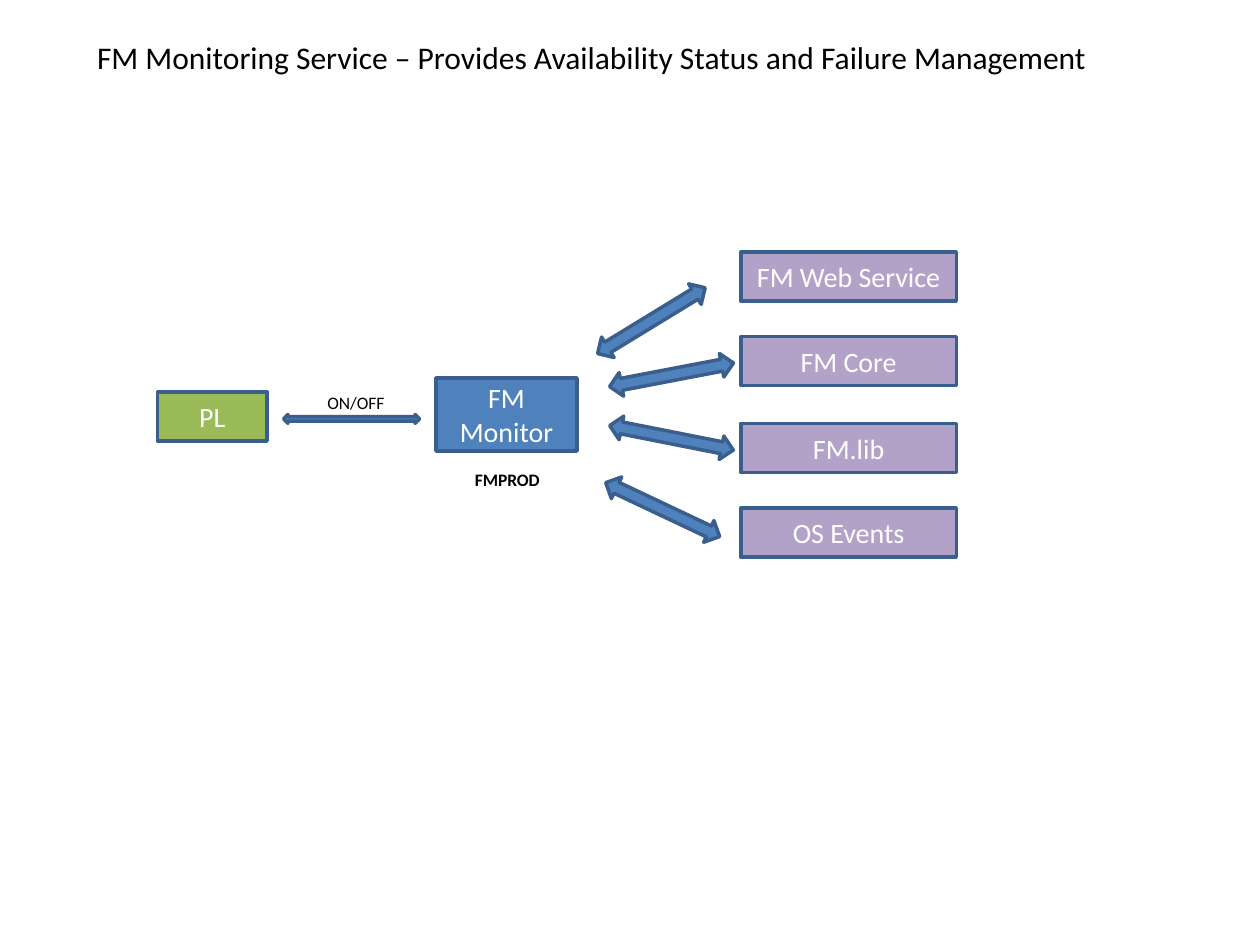
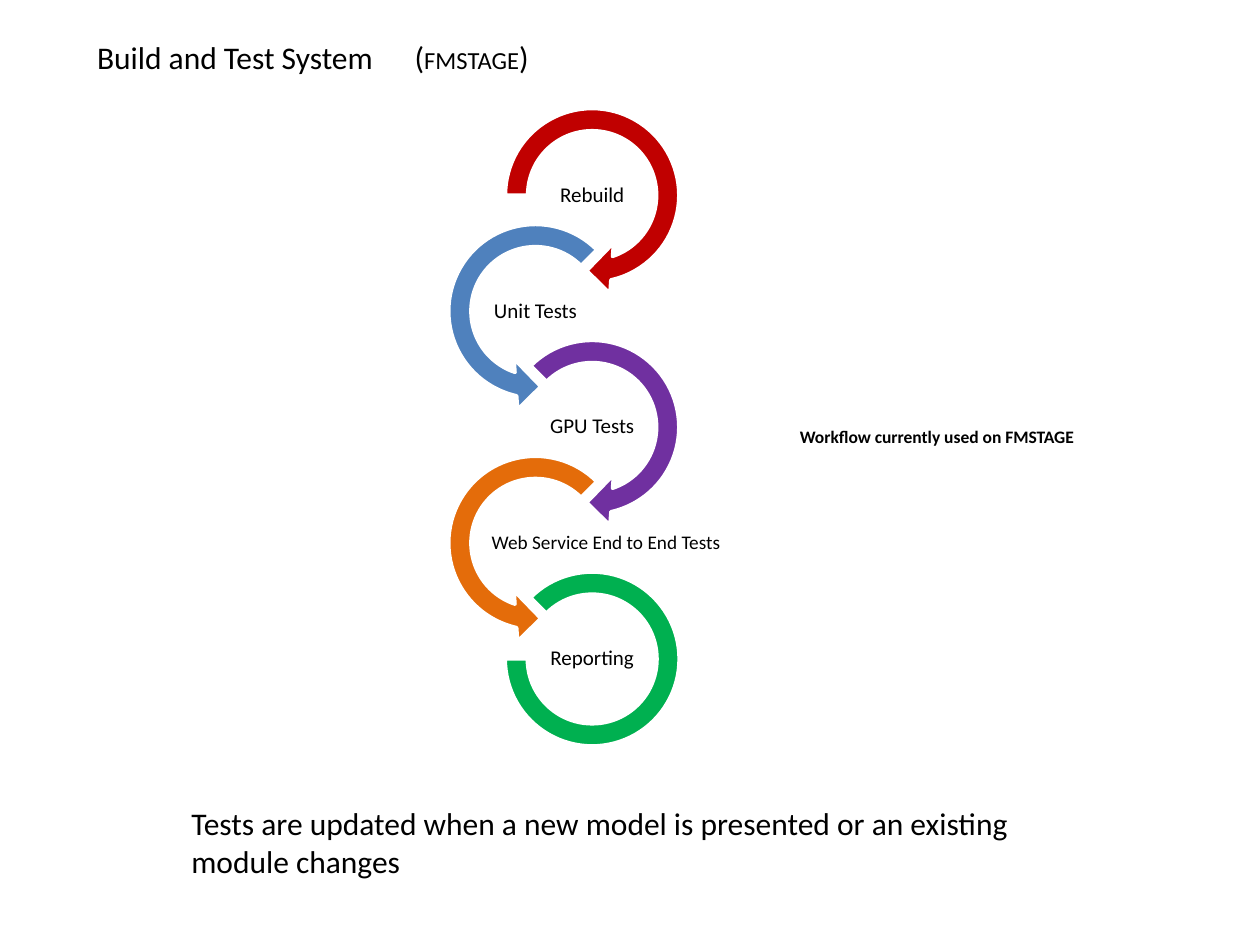
from lxml import etree
from pptx import Presentation
from pptx.dml.color import RGBColor
from pptx.enum.shapes import MSO_SHAPE as Preset
from pptx.enum.text import MSO_ANCHOR as Anchor, MSO_AUTO_SIZE as AutoSize, PP_ALIGN as Align
from pptx.oxml.ns import qn
from pptx.util import Inches, Pt

FONT = "Calibri"
BLACK, WHITE = "000000", "FFFFFF"
BLUE, OUTLINE, GREEN, LILAC = "4F81BD", "3A5F8C", "9BBB59", "B3A2C7"

MONITOR_TITLE = [("FM Monitoring Service – Provides Availability Status and Failure Management", 18)]
BUILD_TITLE = [("Build and Test System\t(", 18), ("FMSTAGE", 14), (")", 18)]
BUILD_TITLE_TAB = 2.52

SERVICES = [("FM Web Service", 2), ("FM Core", 2.67), ("FM.lib", 3.36), ("OS Events", 4.03)]
SERVICE_LEFT, SERVICE_WIDTH, BOX_HEIGHT = 5.88, 1.71, 0.39
COMPONENTS = [
    ("PL", (1.25, 3.11, 0.87, BOX_HEIGHT), GREEN),
    ("FM Monitor", (3.46, 3, 1.12, 0.58), BLUE),
] + [(name, (SERVICE_LEFT, top, SERVICE_WIDTH, BOX_HEIGHT), LILAC) for name, top in SERVICES]
LINKS = [
    ((4.67, 2.45, 1, 0.19), 328.6),
    ((4.76, 3.95, 1, 0.19), 25.3),
    ((4.83, 3.38, 1, 0.19), 11.2),
    ((4.83, 2.88, 1, 0.19), 349.2),
    ((2.25, 3.29, 1.08, 0.07), 0),
]
MONITOR_LABELS = [
    ("ON/OFF", (2.5, 3.06, 0.66, 0.27), False),
    ("FMPROD", (3.67, 3.67, 0.73, 0.27), True),
]

RIGHT_ARROW = (Preset.CIRCULAR_ARROW, (0.11, 11.423, 45, 135, 0.125))
FIRST_ARROW = (Preset.CIRCULAR_ARROW, (0.11, 11.423, 45, 108, 0.125))
LEFT_ARROW = (Preset.LEFT_CIRCULAR_ARROW, (0.11, 11.423, 63, 189, 0.125))
LAST_ARC = (Preset.BLOCK_ARC, (135, 108, 0.127))
STEPS = [
    ("Rebuild", "C00000", FIRST_ARROW),
    ("Unit Tests", BLUE, LEFT_ARROW),
    ("GPU Tests", "7030A0", RIGHT_ARROW),
    ("Web Service End to End Tests", "E46C0A", LEFT_ARROW),
    ("Reporting", "00B050", LAST_ARC),
]
RING_LEFTS, RING_TOP, RING_STEP, RING_SIZE, ARC_INSET = (3.9, 3.45), 0.75, 0.92, 1.6, 0.11
LABEL_WIDTH, LABEL_HEIGHT = 0.89, 0.45
WIDE_LABEL = {"Web Service End to End Tests": (3.42, 2.78, 11)}
WORKFLOW_NOTE = ("Workflow currently used on FMSTAGE", (6.25, 3.33, 2.43, 0.27))
UPDATE_NOTE = (
    "Tests are updated when a new model is presented or an existing module changes",
    (1.42, 6.33, 7.5, 0.71),
)


def color(value):
    return RGBColor.from_string(value)


def inches(box):
    return [Inches(length) for length in box]


def style_font(font, size, fill, bold=False):
    font.name, font.size, font.bold = FONT, Pt(size), bold
    font.color.rgb = color(fill)


def add_titled_slide(presentation, runs, width, tab=None):
    slide = presentation.slides.add_slide(presentation.slide_layouts[5])
    title = slide.shapes.title
    title.left, title.top, title.width, title.height = inches((0.67, 0.25, width, 0.4))
    frame = title.text_frame
    frame.auto_size = AutoSize.NONE
    frame.vertical_anchor = Anchor.TOP
    paragraph = frame.paragraphs[0]
    paragraph.alignment = Align.LEFT
    if tab:
        tabs = etree.SubElement(paragraph._p.get_or_add_pPr(), qn("a:tabLst"))
        etree.SubElement(tabs, qn("a:tab"), pos=str(Inches(tab)), algn="l")
    for text, size in runs:
        run = paragraph.add_run()
        run.text = text
        style_font(run.font, size, BLACK)
    return slide


def add_preset(slide, preset, box, fill, line, adjustments=()):
    shape = slide.shapes.add_shape(preset, *inches(box))
    shape.shadow.inherit = False
    shape.fill.solid()
    shape.fill.fore_color.rgb = color(fill)
    shape.line.color.rgb = color(line)
    shape.line.width = Pt(2)
    for index, value in enumerate(adjustments):
        shape.adjustments[index] = value
    return shape


def add_label(slide, text, box, size, bold=False, wrap=False):
    frame = slide.shapes.add_textbox(*inches(box)).text_frame
    frame.word_wrap = wrap
    frame.text = text
    style_font(frame.paragraphs[0].font, size, BLACK, bold)
    return frame


def build_monitor_slide(presentation):
    slide = add_titled_slide(presentation, MONITOR_TITLE, 8.14)
    for name, box, fill in COMPONENTS:
        frame = add_preset(slide, Preset.RECTANGLE, box, fill, OUTLINE).text_frame
        frame.text = name
        frame.word_wrap = True
        frame.vertical_anchor = Anchor.MIDDLE
        paragraph = frame.paragraphs[0]
        paragraph.alignment = Align.CENTER
        style_font(paragraph.font, 16, WHITE)
    for box, rotation in LINKS:
        add_preset(slide, Preset.LEFT_RIGHT_ARROW, box, BLUE, OUTLINE).rotation = rotation
    for text, box, bold in MONITOR_LABELS:
        add_label(slide, text, box, 10, bold)


def add_step(slide, index, name, fill, ring):
    preset, adjustments = ring
    left, top = RING_LEFTS[index % 2], RING_TOP + index * RING_STEP
    inset = ARC_INSET if preset == Preset.BLOCK_ARC else 0
    size = RING_SIZE - 2 * inset
    add_preset(slide, preset, (left + inset, top + inset, size, size), fill, WHITE, adjustments)

    centered_left = left + (RING_SIZE - LABEL_WIDTH) / 2
    label_left, width, points = WIDE_LABEL.get(name, (centered_left, LABEL_WIDTH, 12))
    label_top = top + (RING_SIZE - LABEL_HEIGHT) / 2
    frame = add_label(slide, name, (label_left, label_top, width, LABEL_HEIGHT), points, wrap=True)
    frame.margin_left = frame.margin_right = frame.margin_top = frame.margin_bottom = Inches(0.01)
    frame.vertical_anchor = Anchor.MIDDLE
    frame.paragraphs[0].alignment = Align.CENTER
    frame.paragraphs[0].line_spacing = 0.9


def build_test_slide(presentation):
    slide = add_titled_slide(presentation, BUILD_TITLE, 3.68, BUILD_TITLE_TAB)
    for index, step in enumerate(STEPS):
        add_step(slide, index, *step)
    add_label(slide, *WORKFLOW_NOTE, 10, bold=True)
    add_label(slide, *UPDATE_NOTE, 18, wrap=True)


def main():
    """Build the monitoring and test workflow slides."""
    presentation = Presentation()
    presentation.slide_width, presentation.slide_height = Inches(10), Inches(7.5)
    build_monitor_slide(presentation)
    build_test_slide(presentation)
    presentation.save("out.pptx")


if __name__ == "__main__":
    main()
